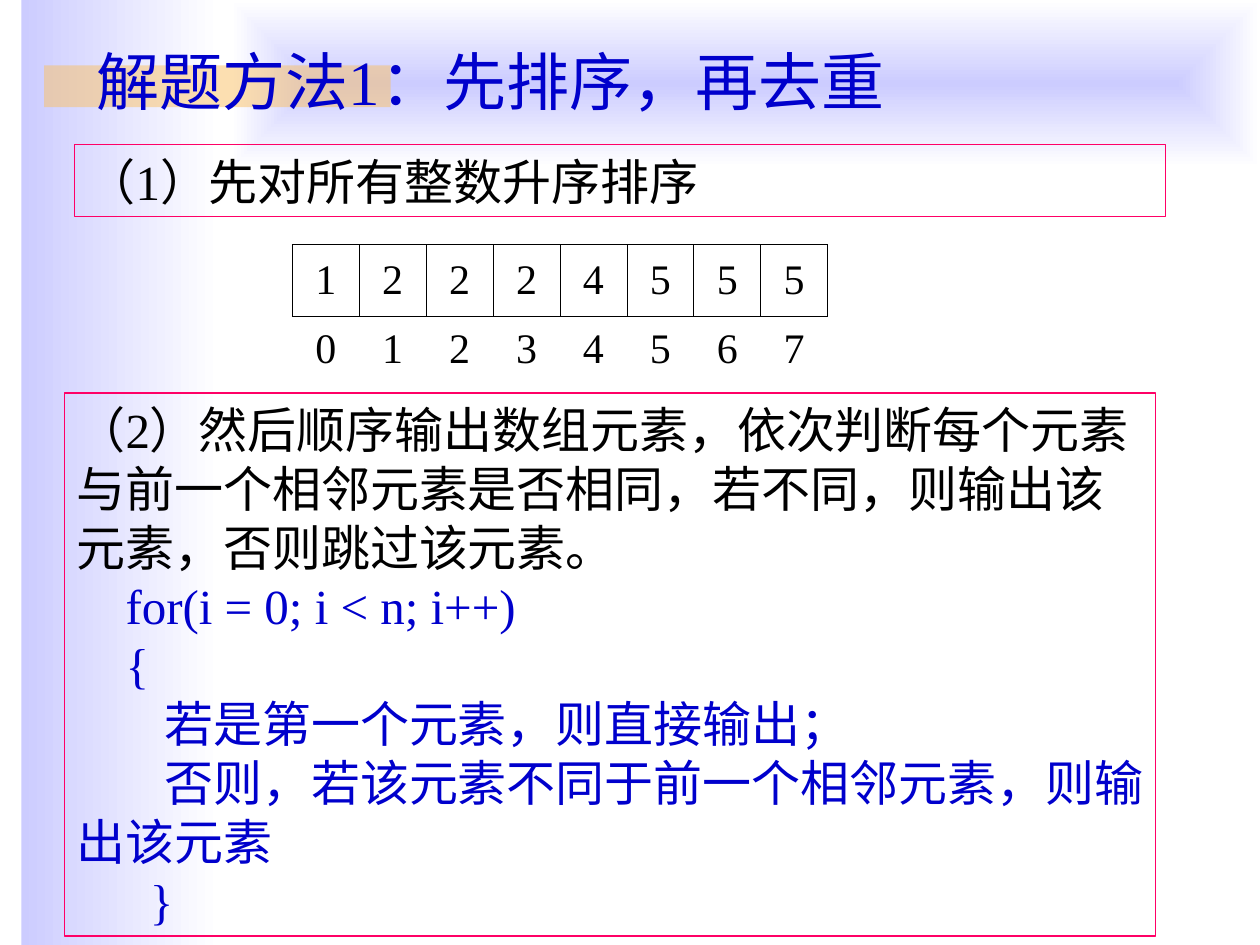
import pptx
import pptx.dml.color
import pptx.enum.shapes
import pptx.enum.text
import pptx.oxml
import pptx.oxml.ns
import pptx.util

# Grid of square cells covering the slide
COLUMNS, ROWS = 100, 75
CELL = pptx.util.Inches(10) // COLUMNS

FONT = "Times New Roman"
BLUE, BLACK, PINK = "0000CC", "000000", "FF0066"
LAVENDER, WHITE, ORANGE = "CCCCFF", "FFFFFF", "FAC164"
NO_GRID_STYLE = "{2D5ABB26-0587-4C30-8999-92F81FD0307C}"

SORTED_NUMBERS = [1, 2, 2, 2, 4, 5, 5, 5]
STEP_ONE = "（1）先对所有整数升序排序"
STEP_TWO = ("（2）然后顺序输出数组元素，依次判断每个元素与前一个相邻元素是否相同，"
            "若不同，则输出该元素，否则跳过该元素。")
CODE_LINES = [
    "    for(i = 0; i < n; i++)",
    "    {",
    "        若是第一个元素，则直接输出；",
    "        否则，若该元素不同于前一个相邻元素，则输出该元素",
    "      }",
]


def colour(value):
    return pptx.dml.color.RGBColor.from_string(value)


def place(*lengths):
    """Turn grid lengths into slide lengths."""
    return [round(length * CELL) for length in lengths]


def xml(text):
    return pptx.oxml.parse_xml(text.replace(
        " ", f" {pptx.oxml.ns.nsdecls('a')} ", 1))


def format_paragraph(paragraph, size, text_colour):
    for run in paragraph.runs:
        run.font.name = FONT
        run.font.size = pptx.util.Pt(size)
        run.font.color.rgb = colour(text_colour)


def add_rectangle(slide, *area):
    shape = slide.shapes.add_shape(
        pptx.enum.shapes.MSO_SHAPE.RECTANGLE, *place(*area))
    shape.shadow.inherit = False
    shape.line.fill.background()
    return shape


def add_gradient(slide, area, from_centre=False):
    shape = add_rectangle(slide, *area)
    shape.fill.gradient()
    shape.fill.gradient_angle = 0
    for stop, value in zip(shape.fill.gradient_stops, (LAVENDER, WHITE)):
        stop.color.rgb = colour(value)
    if from_centre:
        linear = shape.element.spPr.find(".//" + pptx.oxml.ns.qn("a:lin"))
        linear.getparent().replace(linear, xml(
            '<a:path path="rect"><a:fillToRect l="50000" t="50000" '
            'r="50000" b="50000"/></a:path>'))


def add_translucent_bar(slide, area, percent):
    shape = add_rectangle(slide, *area)
    shape.fill.solid()
    shape.fill.fore_color.rgb = colour(ORANGE)
    solid = shape.element.spPr.find(".//" + pptx.oxml.ns.qn("a:srgbClr"))
    solid.append(xml(f'<a:alpha val="{percent * 1000}"/>'))


def add_text(slide, area, lines, size, outline=None):
    """Add a text box; lines holds pairs of text and colour."""
    box = slide.shapes.add_textbox(*place(*area))
    frame = box.text_frame
    frame.word_wrap = True
    frame.text = "\n".join(text for text, _ in lines)
    for paragraph, (_, text_colour) in zip(frame.paragraphs, lines):
        format_paragraph(paragraph, size, text_colour)
    if outline:
        box.line.color.rgb = colour(outline)
        box.line.width = pptx.util.Pt(0.75)
    return box


def set_borders(cell, sides):
    properties = cell._tc.get_or_add_tcPr()
    for position, side in enumerate(sides):
        properties.insert(position, xml(
            f'<a:ln{side} w="{pptx.util.Pt(0.45)}"><a:solidFill>'
            f'<a:srgbClr val="{BLACK}"/></a:solidFill></a:ln{side}>'))


def add_array(slide, area, numbers, row_heights):
    """Show the numbers in boxes with their indexes below."""
    rows = [numbers, range(len(numbers))]
    table = slide.shapes.add_table(
        len(rows), len(numbers), *place(*area)).table
    table.first_row = table.horz_banding = False
    style = table._tbl.tblPr.find(pptx.oxml.ns.qn("a:tableStyleId"))
    style.text = NO_GRID_STYLE
    for column in table.columns:
        column.width = round(area[2] * CELL / len(numbers))
    for row, height, values, sides in zip(
            table.rows, row_heights, rows, ("LRTB", "T")):
        row.height = round(height * CELL)
        for cell, value in zip(row.cells, values):
            cell.text = str(value)
            cell.vertical_anchor = pptx.enum.text.MSO_ANCHOR.MIDDLE
            cell.fill.background()
            set_borders(cell, sides)
            paragraph = cell.text_frame.paragraphs[0]
            paragraph.alignment = pptx.enum.text.PP_ALIGN.CENTER
            format_paragraph(paragraph, 24, BLACK)


def main():
    presentation = pptx.Presentation()
    presentation.slide_width = COLUMNS * CELL
    presentation.slide_height = ROWS * CELL
    slide = presentation.slides.add_slide(presentation.slide_layouts[6])

    # Background decoration
    add_gradient(slide, (1.7, 0, 15.8, ROWS))
    add_gradient(slide, (18.3, 0, 81.7, 13.3), from_centre=True)
    add_translucent_bar(slide, (3.5, 5.2, 27.5, 3.3), 50)

    # Title
    title = add_text(slide, (6.7, -0.3, 89.7, 10.2),
                     [("解题方法1：先排序，再去重", BLUE)], 36)
    title.text_frame.vertical_anchor = pptx.enum.text.MSO_ANCHOR.BOTTOM

    # Step one with the sorted array
    add_text(slide, (5.9, 11.5, 86.6, 5.7), [(STEP_ONE, BLACK)], 28, PINK)
    add_array(slide, (23.2, 19.4, 42.5, 11), SORTED_NUMBERS, (5.7, 5.3))

    # Step two with the pseudocode
    code = [(line, BLUE) for line in CODE_LINES]
    add_text(slide, (5.1, 31.2, 86.6, 43.1),
             [(STEP_TWO, BLACK)] + code, 28, PINK)

    presentation.save("out.pptx")


if __name__ == "__main__":
    main()
